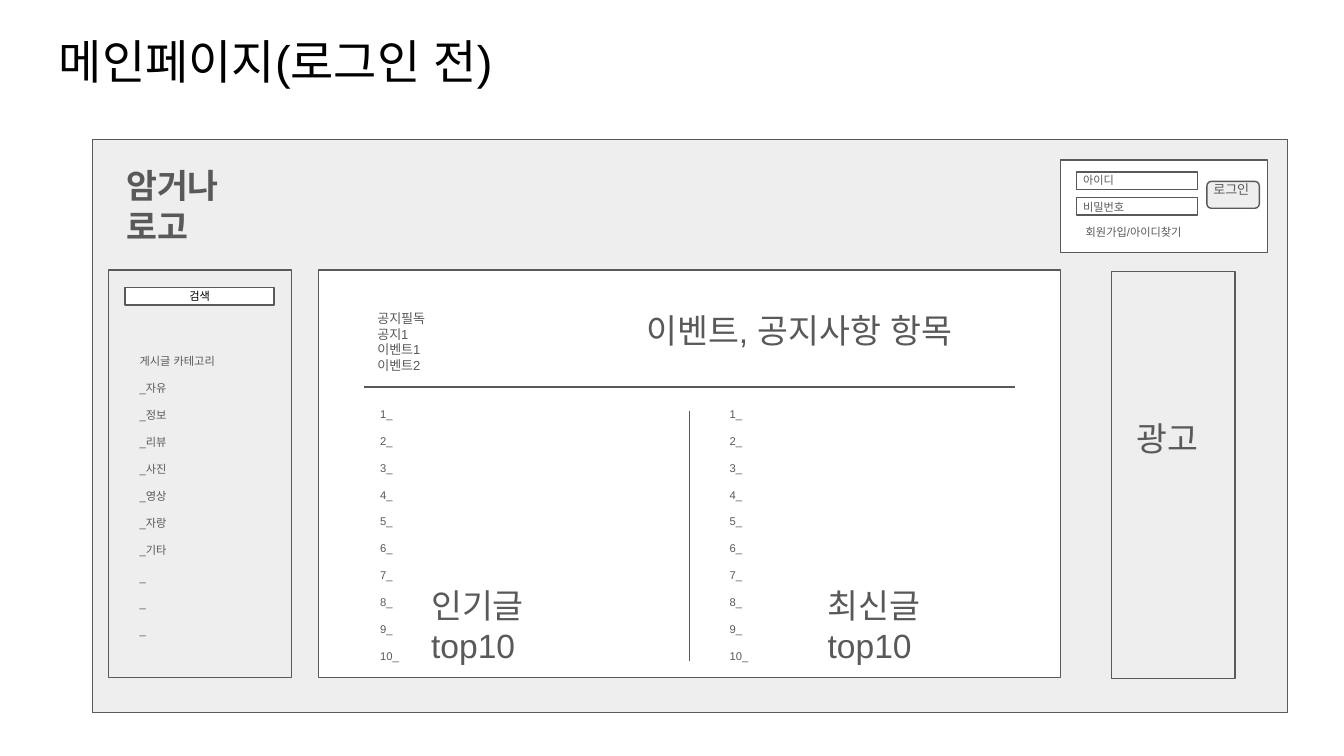
from pptx import Presentation
from pptx.dml.color import RGBColor
from pptx.enum.shapes import MSO_CONNECTOR as Connector, MSO_SHAPE as Shape
from pptx.enum.text import MSO_ANCHOR as Anchor, MSO_AUTO_SIZE as AutoSize, PP_ALIGN as Align
from pptx.oxml.ns import qn
from pptx.util import Pt
from lxml.etree import SubElement

SCALE = 9144
FONT = "Arial"
COLORS = {"ink": "000000", "gray": "595959", "panel": "EEEEEE", "white": "FFFFFF"}


def px(*lengths):
    return [length * SCALE for length in lengths]


def color(name):
    return RGBColor.from_string(COLORS[name])


def write(shape, text, size, ink="gray", bold=False, align=Align.LEFT,
          anchor=Anchor.TOP, line=None, gap=0, grow=False):
    frame = shape.text_frame
    frame.word_wrap = True
    frame.auto_size = AutoSize.SHAPE_TO_FIT_TEXT if grow else AutoSize.NONE
    frame.vertical_anchor = anchor
    frame.margin_left = frame.margin_top = frame.margin_right = frame.margin_bottom = 10 * SCALE
    for index, content in enumerate(text.split("\n")):
        paragraph = frame.add_paragraph() if index else frame.paragraphs[0]
        paragraph.alignment = align
        paragraph.space_after = Pt(gap)
        if line:
            paragraph.line_spacing = Pt(line)
        run = paragraph.add_run()
        run.text = content
        run.font.name = FONT
        run.font.size = Pt(size)
        run.font.bold = bold
        run.font.color.rgb = color(ink)
        SubElement(run.font._element, qn("a:ea"), typeface=FONT)


def add_text(shapes, bounds, text, size, **style):
    write(shapes.add_textbox(*px(*bounds)), text, size, **style)


def add_box(shapes, bounds, fill, kind=Shape.RECTANGLE):
    shape = shapes.add_shape(kind, *px(*bounds))
    shape.shadow.inherit = False
    shape.fill.solid()
    shape.fill.fore_color.rgb = color(fill)
    shape.line.color.rgb = color("gray")
    shape.line.width = Pt(0.75)
    return shape


def add_divider(shapes, *ends):
    connector = shapes.add_connector(Connector.STRAIGHT, *px(*ends))
    connector.line.color.rgb = color("gray")
    connector.line.width = Pt(0.75)
    SubElement(connector._element.spPr, qn("a:effectLst"))


def add_list(shapes, bounds, items):
    add_text(shapes, bounds, "\n".join(items), 6, line=7.2, gap=7.2)


def add_sidebar(shapes):
    add_box(shapes, (81, 201, 136, 303), "panel")
    search = add_box(shapes, (93, 214, 111, 13), "white")
    write(search, "검색", 6, ink="ink", align=Align.CENTER, anchor=Anchor.MIDDLE)
    categories = ["자유", "정보", "리뷰", "사진", "영상", "자랑", "기타", "", "", ""]
    add_list(shapes, (94, 254, 111, 237),
             ["게시글 카테고리"] + [f"_{name}" for name in categories])


def add_login(shapes):
    panel = shapes.add_group_shape().shapes
    add_box(panel, (789, 119, 154, 69), "white")
    for top in (128, 147):
        add_box(panel, (801, top, 90, 13), "white")
    add_box(shapes, (898, 135, 39, 20), "panel", Shape.ROUNDED_RECTANGLE)
    add_text(shapes, (893, 129, 52, 32), "로그인", 7, grow=True)
    add_text(shapes, (798, 158, 94, 30), "회원가입/아이디찾기", 6, grow=True)
    add_list(shapes, (796, 119, 95, 50), ["아이디", "비밀번호"])


def add_board(shapes):
    add_box(shapes, (237, 201, 552, 303), "white")
    add_divider(shapes, 513, 306, 513, 492)
    add_divider(shapes, 271, 288, 755, 288)
    add_text(shapes, (271, 221, 269, 67), "공지필독\n공지1\n이벤트1\n이벤트2", 7, grow=True)
    add_text(shapes, (471, 221, 269, 50), "이벤트, 공지사항 항목", 18, grow=True)
    ranks = [f"{rank}_" for rank in range(1, 11)]
    for list_left, label_left, label in ((273, 311, "인기글 top10"), (533, 606, "최신글top10")):
        add_list(shapes, (list_left, 293, 111, 198), ranks)
        add_text(shapes, (label_left, 425, 90, 81), label, 18, grow=True)


def main():
    presentation = Presentation()
    presentation.slide_width, = px(1000)
    presentation.slide_height = presentation.slide_width * 9 // 16
    shapes = presentation.slides.add_slide(presentation.slide_layouts[6]).shapes
    add_text(shapes, (34, 14, 932, 63), "메인페이지(로그인 전)", 25.2, ink="ink")
    add_box(shapes, (69, 104, 889, 426), "panel")
    add_text(shapes, (84, 113, 129, 81), "암거나 로고", 18, bold=True, grow=True)
    add_sidebar(shapes)
    add_board(shapes)
    add_login(shapes)
    add_box(shapes, (827, 202, 92, 303), "panel")
    add_text(shapes, (836, 301, 79, 50), "광고", 18, grow=True)
    presentation.save("out.pptx")


if __name__ == "__main__":
    main()
